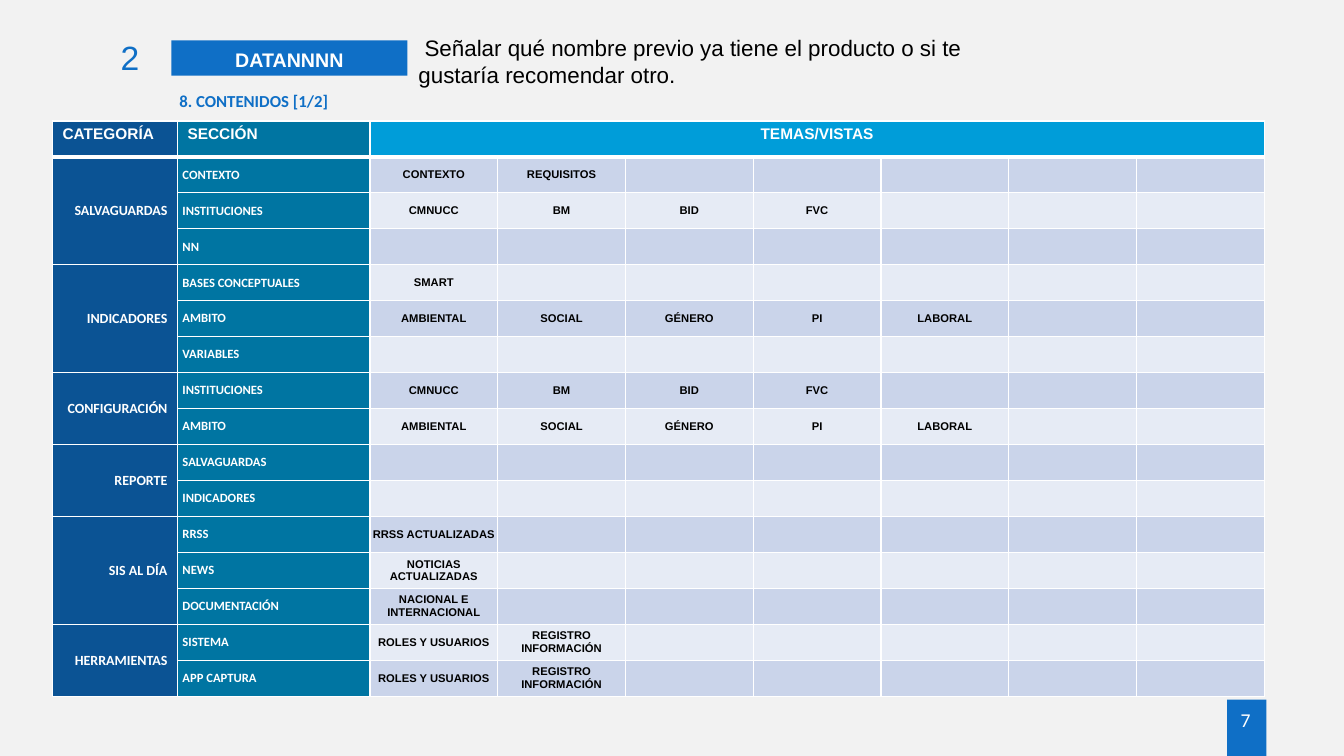
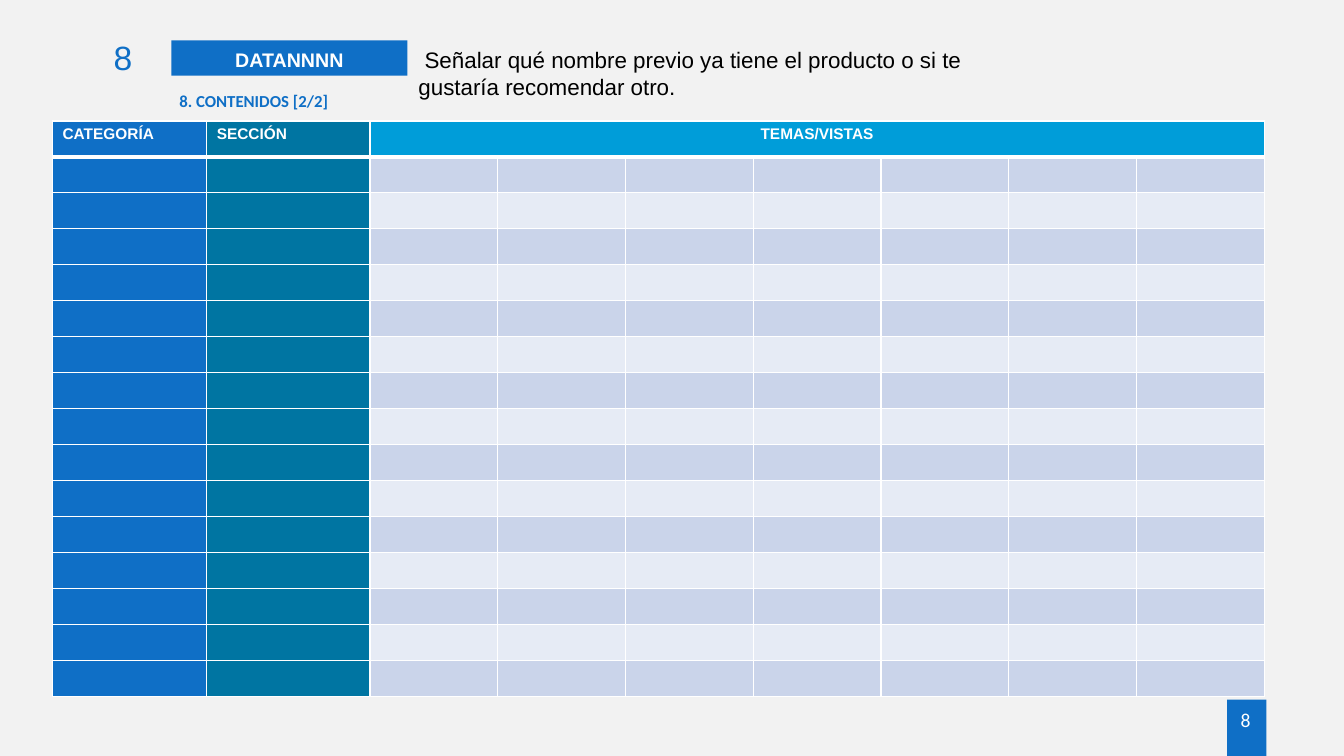
"""Build two content-planning slides that share a heading band, a table grid and a page badge."""
from lxml.etree import SubElement
from pptx import Presentation
from pptx.dml.color import RGBColor
from pptx.enum.shapes import MSO_SHAPE
from pptx.enum.text import MSO_ANCHOR, MSO_AUTO_SIZE, PP_ALIGN
from pptx.oxml.ns import qn
from pptx.util import Inches, Pt

BACKGROUND = RGBColor(0xF2, 0xF2, 0xF2)
BLUE = RGBColor(0x0F, 0x6F, 0xC6)
NAVY = RGBColor(0x0B, 0x53, 0x94)
TEAL = RGBColor(0x00, 0x75, 0xA2)
CYAN = RGBColor(0x00, 0x9D, 0xD9)
BAND_DARK = RGBColor(0xCA, 0xD4, 0xEA)
BAND_LIGHT = RGBColor(0xE6, 0xEB, 0xF5)
WHITE = RGBColor(0xFF, 0xFF, 0xFF)
BLACK = RGBColor(0x00, 0x00, 0x00)

TABLE_LEFT, TABLE_TOP = 0.52, 1.2
TABLE_WIDTH, TABLE_HEIGHT = 12.02, 5.71
LABELS_WIDTH = 3.15
THEME_COLUMNS, BODY_ROWS = 7, 15
THEME_WIDTH = (TABLE_WIDTH - LABELS_WIDTH) / THEME_COLUMNS

INSTITUTIONS = ["CMNUCC", "BM", "BID", "FVC"]
SCOPES = ["AMBIENTAL", "SOCIAL", "GÉNERO", "PI", "LABORAL"]
ROLES = ["ROLES Y USUARIOS", "REGISTRO INFORMACIÓN"]
CONTENTS = [
    ("SALVAGUARDAS", [("CONTEXTO", ["CONTEXTO", "REQUISITOS"]),
                      ("INSTITUCIONES", INSTITUTIONS), ("NN", [])]),
    ("INDICADORES", [("BASES CONCEPTUALES", ["SMART"]),
                     ("AMBITO", SCOPES), ("VARIABLES", [])]),
    ("CONFIGURACIÓN", [("INSTITUCIONES", INSTITUTIONS), ("AMBITO", SCOPES)]),
    ("REPORTE", [("SALVAGUARDAS", []), ("INDICADORES", [])]),
    ("SIS AL DÍA", [("RRSS", ["RRSS ACTUALIZADAS"]),
                    ("NEWS", ["NOTICIAS ACTUALIZADAS"]),
                    ("DOCUMENTACIÓN", ["NACIONAL E INTERNACIONAL"])]),
    ("HERRAMIENTAS", [("SISTEMA", ROLES), ("APP CAPTURA", ROLES)]),
]
BLANK_CONTENTS = [("", [("", [])])] * BODY_ROWS

PAGES = [
    {"page": "7", "step": "2", "step_left": 0.59, "part": "1/2", "anchor": MSO_ANCHOR.TOP,
     "category_width": 1.24, "category_fill": NAVY, "contents": CONTENTS},
    {"page": "8", "step": "8", "step_left": 0.52, "part": "2/2", "anchor": MSO_ANCHOR.MIDDLE,
     "category_width": 1.53, "category_fill": BLUE, "contents": BLANK_CONTENTS},
]


def write(frame, text, size, color, font="Arial", bold=False, align=PP_ALIGN.LEFT):
    """Put one formatted paragraph in a text frame and return it."""
    frame.word_wrap = True
    paragraph = frame.paragraphs[0]
    if text:
        paragraph.text = text
    paragraph.alignment = align
    paragraph.font.size = Pt(size)
    paragraph.font.name = font
    paragraph.font.bold = bold
    paragraph.font.color.rgb = color
    return paragraph


def style_cell(cell, row, fill, text, size, color=WHITE, font="Calibri",
               align=PP_ALIGN.LEFT, side=0.1, edge=0.05):
    """Give a table cell its white borders, fill, margins and bold text."""
    properties = cell._tc.get_or_add_tcPr()
    widths = {"a:lnL": 1, "a:lnR": 1, "a:lnT": 3 if row == 1 else 1, "a:lnB": 3 if row == 0 else 1}
    for tag, width in widths.items():
        border = SubElement(properties, qn(tag), w=str(Pt(width)))
        SubElement(SubElement(border, qn("a:solidFill")), qn("a:srgbClr"), val=str(WHITE))
    cell.fill.solid()
    cell.fill.fore_color.rgb = fill
    cell.margin_left = cell.margin_right = Inches(side)
    cell.margin_top = cell.margin_bottom = Inches(edge)
    cell.vertical_anchor = MSO_ANCHOR.TOP if row == 0 else MSO_ANCHOR.MIDDLE
    write(cell.text_frame, text, size, color, font, True, align)


presentation = Presentation()
presentation.slide_width = Inches(13.33)
presentation.slide_height = Inches(7.5)
background = presentation.slide_master.background.fill
background.solid()
background.fore_color.rgb = BACKGROUND
title_only = presentation.slide_layouts[5]

for page in PAGES:
    slide = presentation.slides.add_slide(title_only)
    shapes = slide.shapes

    bands = []
    for left, top, width, height in [(12.17, 6.94, 0.39, 0.56), (1.7, 0.4, 2.34, 0.35)]:
        band = shapes.add_shape(MSO_SHAPE.RECTANGLE, Inches(left), Inches(top),
                                Inches(width), Inches(height))
        band.shadow.inherit = False
        band.fill.solid()
        band.fill.fore_color.rgb = BLUE
        band.line.fill.background()
        bands.append(band)
    name_band = bands[1]
    name_band.text_frame.vertical_anchor = MSO_ANCHOR.TOP
    name = write(name_band.text_frame, "DATANNNN", 14, WHITE, bold=True, align=PP_ALIGN.CENTER)
    name.line_spacing = 1.1

    page_number = shapes.add_textbox(Inches(12.05), Inches(7), Inches(0.61), Inches(0.33))
    page_number.text_frame.margin_top = page_number.text_frame.margin_bottom = Inches(0.02)
    write(page_number.text_frame, page["page"], 14, WHITE, "Calibri", align=PP_ALIGN.CENTER)

    title = shapes.title
    title.left, title.top = Inches(4.05), Inches(0.29)
    title.width, title.height = Inches(6), Inches(0.87)
    title.text_frame.auto_size = MSO_AUTO_SIZE.NONE
    title.text_frame.vertical_anchor = page["anchor"]
    write(title.text_frame, " Señalar qué nombre previo ya tiene el producto o si te "
          "gustaría recomendar otro.", 16, BLACK)

    step = shapes.add_textbox(Inches(page["step_left"]), Inches(0.32), Inches(0.89), Inches(0.5))
    write(step.text_frame, page["step"], 24, BLUE, align=PP_ALIGN.RIGHT)

    table = shapes.add_table(BODY_ROWS + 1, THEME_COLUMNS + 2, Inches(TABLE_LEFT), Inches(TABLE_TOP),
                             Inches(TABLE_WIDTH), Inches(TABLE_HEIGHT)).table
    table.horz_banding = False
    category_width = page["category_width"]
    column_widths = [category_width, LABELS_WIDTH - category_width] + [THEME_WIDTH] * THEME_COLUMNS
    for column, width in zip(table.columns, column_widths):
        column.width = Inches(width)

    headers = ["CATEGORÍA", "SECCIÓN", "TEMAS/VISTAS"] + [""] * (THEME_COLUMNS - 1)
    header_fills = [page["category_fill"], TEAL] + [CYAN] * THEME_COLUMNS
    for column, (header, fill) in enumerate(zip(headers, header_fills)):
        align = PP_ALIGN.LEFT if column < 2 else PP_ALIGN.CENTER
        style_cell(table.cell(0, column), 0, fill, header, 11, font="Arial", align=align)
    table.cell(0, 2).merge(table.cell(0, THEME_COLUMNS + 1))

    row = 1
    for category, sections in page["contents"]:
        first_row = row
        for section, themes in sections:
            style_cell(table.cell(row, 0), row, page["category_fill"],
                       category if row == first_row else "", 10, align=PP_ALIGN.RIGHT)
            style_cell(table.cell(row, 1), row, TEAL, section, 9, side=0.05)
            band_fill = BAND_DARK if row % 2 else BAND_LIGHT
            for index in range(THEME_COLUMNS):
                theme = themes[index] if index < len(themes) else ""
                style_cell(table.cell(row, index + 2), row, band_fill, theme, 8, BLACK,
                           "Arial", PP_ALIGN.CENTER, 0, 0)
            row += 1
        if len(sections) > 1:
            table.cell(first_row, 0).merge(table.cell(row - 1, 0))

    subtitle = shapes.add_textbox(Inches(1.68), Inches(0.85), Inches(4.96), Inches(0.3))
    write(subtitle.text_frame, f"8. CONTENIDOS [{page['part']}]", 12, BLUE, "Calibri", True)

presentation.save("out.pptx")
